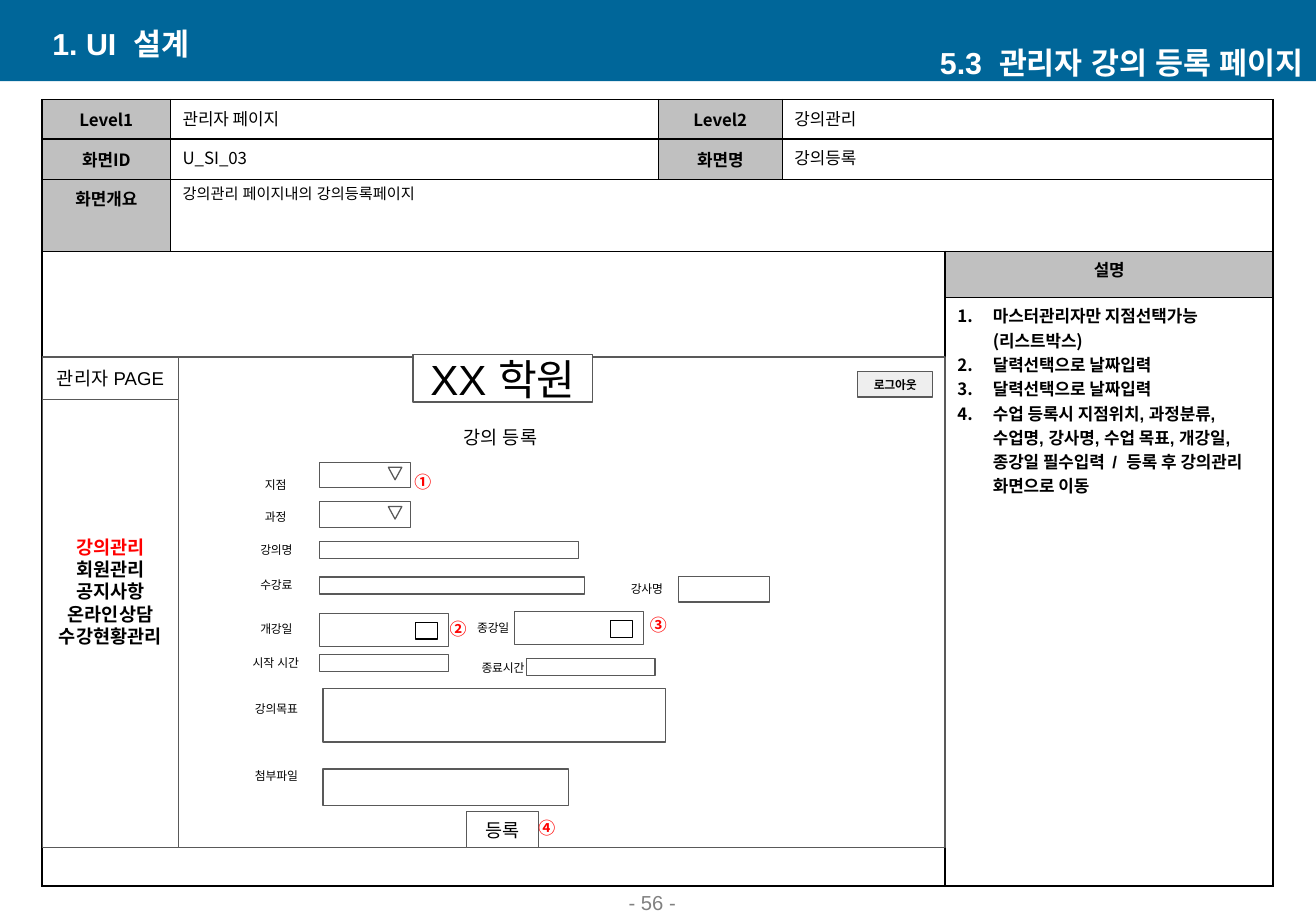
import pptx
import pptx.util
import pptx.dml.color
import pptx.enum.shapes
import pptx.enum.text
import pptx.oxml.ns
from lxml import etree

Pt = pptx.util.Pt
qn = pptx.oxml.ns.qn
SHAPE = pptx.enum.shapes.MSO_SHAPE
ANCHOR = pptx.enum.text.MSO_ANCHOR
ALIGN = pptx.enum.text.PP_ALIGN

COLORS = {"bar": "006699", "head": "C0C0C0", "white": "FFFFFF", "black": "000000",
          "edge": "595959", "red": "FF0000", "page": "808080", "button": "EEEEEE"}
ARIAL, NOTO = "Arial", "Noto Sans CJK KR"

TITLE = "1. UI  설계"
SECTION = "5.3  관리자 강의 등록 페이지"
PAGE = "- 56 -"

COLS = [76, 289.2, 73.5, 96.6, 194.4]
ROWS = [23.4, 24.2, 42.4, 27.4, 349]
MERGES = [((0, 3), (0, 4)), ((1, 3), (1, 4)), ((2, 1), (2, 4)), ((3, 0), (4, 3))]
# (row, column): text, anchor
HEADS = {
    (0, 0): ("Level1", ANCHOR.MIDDLE), (0, 2): ("Level2", ANCHOR.MIDDLE),
    (1, 0): ("화면ID", ANCHOR.MIDDLE), (1, 2): ("화면명", ANCHOR.MIDDLE),
    (2, 0): ("화면개요", ANCHOR.TOP), (3, 4): ("설명", ANCHOR.TOP),
}
# (row, column): text, size, face
VALUES = {
    (0, 1): ("관리자 페이지", 10, NOTO), (0, 3): ("강의관리", 10, NOTO),
    (1, 1): ("U_SI_03", 10, NOTO), (1, 3): ("강의등록", 10, NOTO),
    (2, 1): ("강의관리 페이지내의 강의등록페이지", 9, ARIAL),
}
STEPS = [
    ("마스터관리자만 지점선택가능(리스트박스)", NOTO),
    ("달력선택으로 날짜입력", NOTO),
    ("달력선택으로 날짜입력", NOTO),
    ("수업 등록시 지점위치, 과정분류, 수업명, 강사명, 수업 목표, 개강일, "
     "종강일 필수입력  /  등록 후 강의관리 화면으로 이동", ARIAL),
]

MENU = ["강의관리", "회원관리", "공지사항", "온라인상담", "수강현황관리"]
PANEL = (25.9, 211.7, 534.2, 290.9)
SIDE = (25.2, 211.7, 80.6, 290.9)
# text, box, size, bold, fill
BUTTONS = [
    ("관리자 PAGE", (25.2, 211.7, 80.6, 25.2), 11, False, "white"),
    ("XX 학원", (244.8, 210.2, 106.6, 28.1), 25, False, "white"),
    ("로그아웃", (508.3, 220.3, 44.6, 15.1), 7, True, "button"),
    ("등록", (276.5, 481, 42.5, 21.6), 11, False, "white"),
]
# label, label centre, label top, field box, icon
FIELDS = [
    ("지점", 163.4, 275.8, (189.2, 274.1, 54, 15.1), "list"),
    ("과정", 163.4, 295.2, (189.2, 297.4, 54, 15.1), "list"),
    ("강의명", 163.8, 314.6, (189.4, 321.1, 153.4, 10.1), None),
    ("수강료", 163.8, 335.5, (189.4, 342, 157, 10.1), None),
    ("강사명", 383.4, 337.7, (402.2, 341.8, 54, 15.1), None),
    ("개강일", 163.8, 361.4, (189.4, 363.8, 76.3, 19.4), "date"),
    ("종강일", 292.3, 360.7, (305, 362.7, 76.3, 19.4), "date"),
    ("시작 시간", 163.4, 381.6, (189.4, 388.2, 76.3, 10.1), None),
    ("종료시간", 298.1, 384.5, (312, 390.2, 76.3, 10.1), None),
    ("강의목표", 163.8, 409, (191.5, 408.2, 203, 31.7), None),
    ("첨부파일", 163.8, 448.6, (191.5, 455.8, 145.4, 21.6), None),
]
# kind: shape, offset and size, line colour
ICONS = {"list": (SHAPE.FLOWCHART_MERGE, (41, 2.9, 8, 7.4), "edge"),
         "date": (SHAPE.RECTANGLE, (57, 5, 13, 10), "black")}
MARKS = [("①", 238.3, 275.8), ("②", 259.2, 362.9),
         ("③", 378, 360.7), ("④", 311.8, 481)]


def rgb(name):
    return pptx.dml.color.RGBColor.from_string(COLORS[name])


def write(para, text, size, face=ARIAL, bold=False, color="black", asian=None):
    """Add one run, with its East Asian face alongside the Latin one."""
    run = para.add_run()
    run.text = text
    font = run.font
    font.size, font.bold, font.name = Pt(size), bold, face
    font.color.rgb = rgb(color)
    etree.SubElement(run._r.get_or_add_rPr(), qn("a:ea"), typeface=asian or face)


def setup(frame, anchor, side=0, top=0, bottom=0):
    frame.word_wrap = True
    frame.auto_size = pptx.enum.text.MSO_AUTO_SIZE.NONE
    frame.vertical_anchor = anchor
    frame.margin_left = frame.margin_right = Pt(side)
    frame.margin_top, frame.margin_bottom = Pt(top), Pt(bottom)


def draw(slide, box, fill="white", line="edge", kind=SHAPE.RECTANGLE):
    shape = slide.shapes.add_shape(kind, *map(Pt, box))
    shape.shadow.inherit = False
    shape.fill.solid()
    shape.fill.fore_color.rgb = rgb(fill)
    if line:
        shape.line.color.rgb = rgb(line)
        shape.line.width = Pt(0.75)
    else:
        shape.line.fill.background()
    return shape


def label(slide, box, text, size, align=ALIGN.CENTER, anchor=ANCHOR.TOP,
          side=0, top=0, **style):
    frame = slide.shapes.add_textbox(*map(Pt, box)).text_frame
    setup(frame, anchor, side, top)
    para = frame.paragraphs[0]
    para.alignment = align
    write(para, text, size, **style)


def border(cell):
    props = cell._tc.get_or_add_tcPr()
    for edge in ("a:lnL", "a:lnR", "a:lnT", "a:lnB"):
        line = etree.SubElement(props, qn(edge), w=str(Pt(1)))
        fill = etree.SubElement(line, qn("a:solidFill"))
        etree.SubElement(fill, qn("a:srgbClr"), val=COLORS["black"])


def header(slide):
    bar = draw(slide, (0, 0, 780, 48.2), "bar", None)
    slide.shapes._spTree.insert(2, bar._element)
    title = slide.shapes.title
    title.left, title.top, title.width, title.height = map(Pt, (23.8, 13.7, 315.4, 23.8))
    setup(title.text_frame, ANCHOR.MIDDLE, 7.2)
    para = title.text_frame.paragraphs[0]
    para.alignment = ALIGN.LEFT
    write(para, TITLE, 18, bold=True, color="white")
    label(slide, (464.4, 25.2, 315.4, 23.8), SECTION, 18, ALIGN.RIGHT,
          ANCHOR.MIDDLE, 7.2, bold=True, color="white")
    label(slide, (305.3, 525.6, 162.7, 16.6), PAGE, 12,
          anchor=ANCHOR.BOTTOM, color="page")


def sheet(slide):
    table = slide.shapes.add_table(len(ROWS), len(COLS), Pt(25), Pt(59),
                                   Pt(sum(COLS)), Pt(sum(ROWS))).table
    for col, width in zip(table.columns, COLS):
        col.width = Pt(width)
    for row, height in zip(table.rows, ROWS):
        row.height = Pt(height)
    for cell in table.iter_cells():
        border(cell)
        cell.fill.solid()
        cell.fill.fore_color.rgb = rgb("white")
    for start, end in MERGES:
        table.cell(*start).merge(table.cell(*end))
    for place, (text, anchor) in HEADS.items():
        cell = table.cell(*place)
        cell.fill.fore_color.rgb = rgb("head")
        cell.vertical_anchor = anchor
        para = cell.text_frame.paragraphs[0]
        para.alignment = ALIGN.CENTER
        write(para, text, 10, NOTO, True)
    for place, (text, size, face) in VALUES.items():
        write(table.cell(*place).text_frame.paragraphs[0], text, size, face)
    frame = table.cell(4, 4).text_frame
    for i, (text, face) in enumerate(STEPS):
        para = frame.add_paragraph() if i else frame.paragraphs[0]
        props = para._p.get_or_add_pPr()
        props.set("marL", str(Pt(21)))
        props.set("indent", str(-Pt(21)))
        etree.SubElement(props, qn("a:buAutoNum"), type="arabicPeriod")
        write(para, text, 10, face, True, asian=NOTO)


def mockup(slide):
    draw(slide, PANEL)
    frame = draw(slide, SIDE).text_frame
    setup(frame, ANCHOR.MIDDLE, 0, 7.2, 20.4)
    for i, text in enumerate(MENU):
        para = frame.add_paragraph() if i else frame.paragraphs[0]
        para.alignment = ALIGN.CENTER
        write(para, text, 11, bold=True, color="black" if i else "red")
    for text, box, size, bold, fill in BUTTONS:
        frame = draw(slide, box, fill).text_frame
        setup(frame, ANCHOR.MIDDLE)
        frame.paragraphs[0].alignment = ALIGN.CENTER
        write(frame.paragraphs[0], text, size, bold=bold)
    label(slide, (265.7, 245.5, 61.9, 28), "강의 등록", 11, top=7.2)
    for text, mid, top, box, icon in FIELDS:
        draw(slide, box)
        label(slide, (mid - 27, top, 54, 23), text, 7, top=7.2)
        if icon:
            kind, (dx, dy, width, height), line = ICONS[icon]
            draw(slide, (box[0] + dx, box[1] + dy, width, height), line=line, kind=kind)
    for text, left, top in MARKS:
        label(slide, (left, top, 24.5, 19.4), text, 10, top=3.6,
              face=NOTO, bold=True, color="red")


def main():
    deck = pptx.Presentation()
    deck.slide_width, deck.slide_height = Pt(780), Pt(540)
    slide = deck.slides.add_slide(deck.slide_layouts[5])
    header(slide)
    sheet(slide)
    mockup(slide)
    deck.save("out.pptx")


if __name__ == "__main__":
    main()
